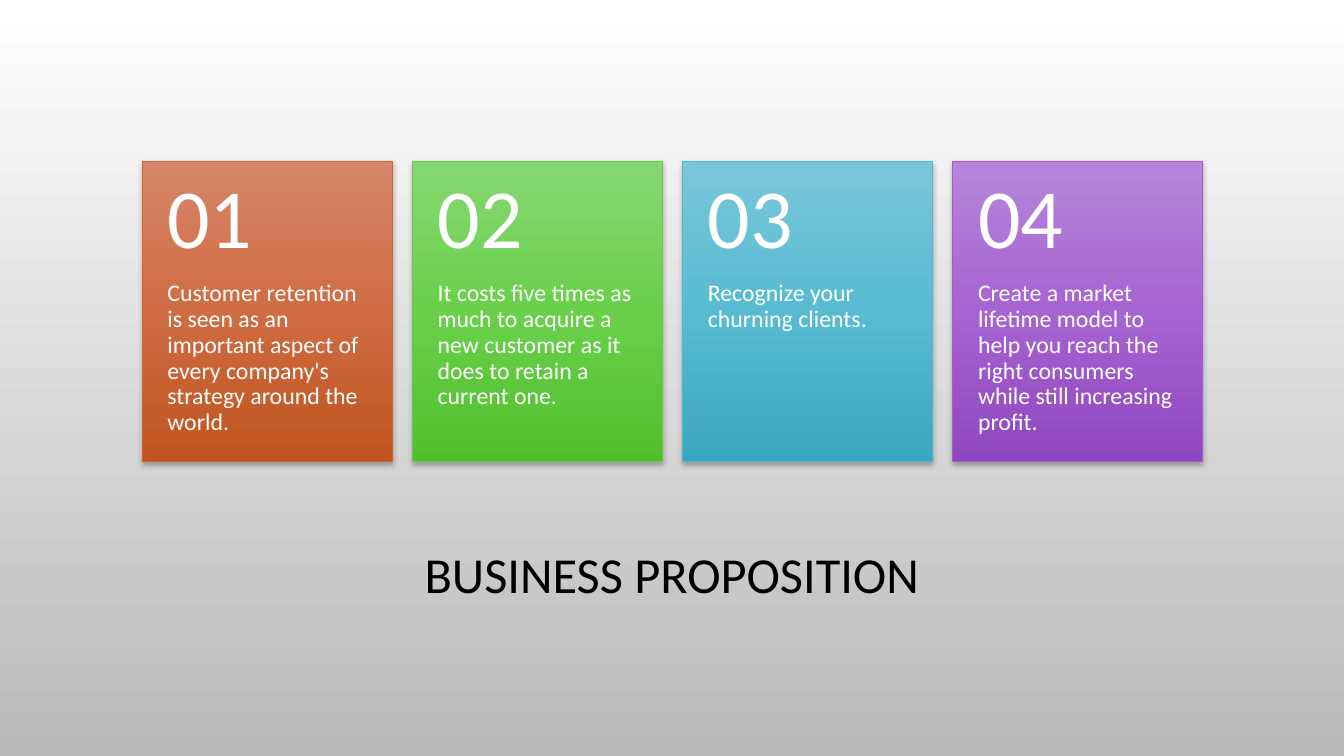
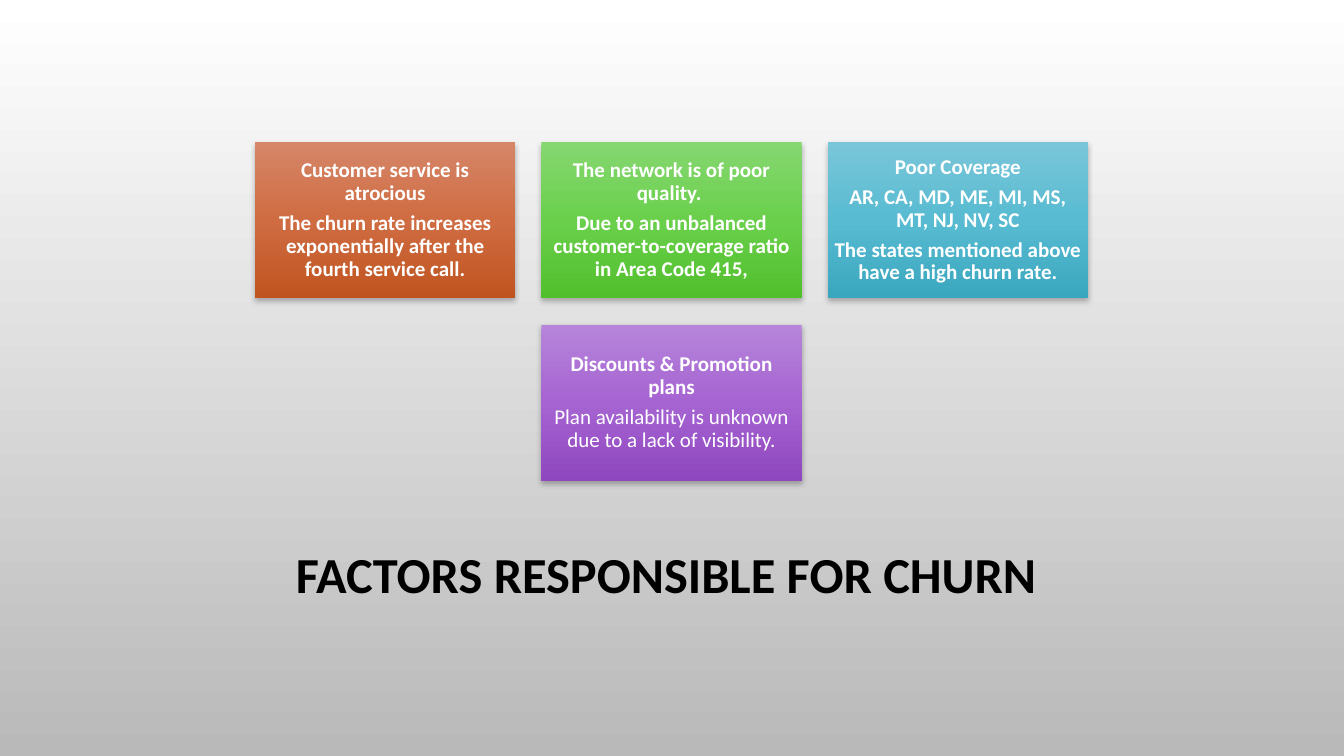
from dataclasses import dataclass
from typing import NamedTuple

from lxml import etree
from pptx import Presentation
from pptx.dml.color import RGBColor
from pptx.enum.shapes import MSO_SHAPE
from pptx.enum.text import MSO_ANCHOR, PP_ALIGN
from pptx.oxml.ns import qn
from pptx.util import Inches, Pt

RECTANGLE = MSO_SHAPE.RECTANGLE
TOP, MIDDLE = MSO_ANCHOR.TOP, MSO_ANCHOR.MIDDLE
LEFT, CENTER = PP_ALIGN.LEFT, PP_ALIGN.CENTER
BLANK_LAYOUT = 6


class Box(NamedTuple):
    """A rectangle in inches."""
    left: float
    top: float
    width: float
    height: float

    def emu(self):
        """Return the four lengths ready for python-pptx."""
        return [Inches(length) for length in self]


class Accent(NamedTuple):
    """Gradient colours of a card and its outline."""
    gradient: tuple
    outline: str


@dataclass(frozen=True)
class Theme:
    """Colours, type sizes and text rules shared by the slides."""
    font: str = "Calibri"
    ink: str = "000000"
    paper: str = "FFFFFF"
    backdrop: tuple = ("FFFFFF", "B9B9B9")
    accents: tuple = (
        Accent(("D68669", "CF6C42", "C0541F"), "CE6633"),
        Accent(("86D771", "6AD04C", "51BF2C"), "64CF41"),
        Accent(("7AC6D9", "58BBD1", "3AA7BF"), "4FB9D0"),
        Accent(("B685DA", "A664D2", "8F47BF"), "A35DD1"),
    )
    title_size: float = 36
    number_size: float = 60
    proposition_size: float = 17
    factor_size: float = 15
    line_spacing: float = 0.9
    space_after: float = 0.35


THEME = Theme()
TITLE_BOX = Box(1, 5.02, 11.33, 1.42)
PROPOSITION_BOX = Box(1.41, 1.6, 10.52, 2.98)
PROPOSITION_GAP = 0.2
FACTOR_BOX = Box(2.53, 1.41, 8.26, 3.36)
FACTOR_GAP = 0.26
FACTOR_COLUMNS = 3

PROPOSITIONS = (
    "Customer retention is seen as an important aspect of every company's strategy around the world.",
    "It costs five times as much to acquire a new customer as it does to retain a current one.",
    "Recognize your churning clients.",
    "Create a market lifetime model to help you reach the right consumers while still increasing profit.",
)
FACTORS = (
    (("Customer service is atrocious", True),
     ("The churn rate increases exponentially after the fourth service call.", True)),
    (("The network is of poor quality. ", True),
     ("Due to an unbalanced customer-to-coverage ratio in Area Code 415,", True)),
    (("Poor Coverage", True),
     ("AR, CA, MD, ME, MI, MS, MT, NJ, NV, SC", True),
     ("The states mentioned above have a high churn rate.", True)),
    (("Discounts & Promotion plans", True),
     ("Plan availability is unknown due to a lack of visibility.", False)),
)


def paint_gradient(fill, holder, colors):
    """Fill from top to bottom with evenly spaced colours."""
    fill.gradient()
    fill.gradient_angle = 270
    stops = next(holder.iter(qn("a:gsLst")))
    for stop in list(stops):
        stops.remove(stop)
    for index, color in enumerate(colors):
        position = 100000 * index // (len(colors) - 1)
        stop = etree.SubElement(stops, qn("a:gs"), pos=str(position))
        etree.SubElement(stop, qn("a:srgbClr"), val=color)


def add_soft_shadow(shape):
    """Give the shape a faint shadow below it."""
    shape.shadow.inherit = False
    effects = shape._element.spPr.find(qn("a:effectLst"))
    shadow = etree.SubElement(
        effects, qn("a:outerShdw"), blurRad=str(Pt(4)), dist=str(Pt(2)),
        dir="5400000", algn="ctr", rotWithShape="0")
    color = etree.SubElement(shadow, qn("a:srgbClr"), val=THEME.ink)
    etree.SubElement(color, qn("a:alpha"), val="28000")


def write_text(frame, lines, size, color=THEME.paper, align=LEFT, anchor=MIDDLE,
               insets=(0.1, 0.05, 0.1, 0.05)):
    """Write (text, bold) lines as paragraphs of one style."""
    frame.word_wrap = True
    frame.vertical_anchor = anchor
    (frame.margin_left, frame.margin_top,
     frame.margin_right, frame.margin_bottom) = [Inches(inset) for inset in insets]
    for index, (text, bold) in enumerate(lines):
        paragraph = frame.add_paragraph() if index else frame.paragraphs[0]
        paragraph.alignment = align
        paragraph.line_spacing = THEME.line_spacing
        paragraph.space_after = Pt(size * THEME.space_after)
        run = paragraph.add_run()
        run.text = text
        run.font.name = THEME.font
        run.font.size = Pt(size)
        run.font.bold = bold
        run.font.color.rgb = RGBColor.from_string(color)


def add_label(slide, box, text, size, bold=False, **style):
    """Add a text box with a single paragraph."""
    label = slide.shapes.add_textbox(*box.emu())
    write_text(label.text_frame, [(text, bold)], size, **style)


def add_card(slide, box, accent, outlined=False):
    """Add a shaded card and return it."""
    card = slide.shapes.add_shape(RECTANGLE, *box.emu())
    paint_gradient(card.fill, card._element.spPr, accent.gradient)
    if outlined:
        card.line.color.rgb = RGBColor.from_string(accent.outline)
        card.line.width = Pt(0.75)
    else:
        card.line.fill.background()
    add_soft_shadow(card)
    return card


def add_titled_slide(deck, title, bold=False):
    """Add a slide with the shared backdrop and title."""
    slide = deck.slides.add_slide(deck.slide_layouts[BLANK_LAYOUT])
    paint_gradient(slide.background.fill, slide._element, THEME.backdrop)
    add_label(slide, TITLE_BOX, title, THEME.title_size, bold,
              color=THEME.ink, align=CENTER)
    return slide


def add_proposition(slide, box, number, text, accent):
    """Place a numbered proposition in its box."""
    number_height = box.height * 0.4
    add_card(slide, box, accent, outlined=True)
    text_box = box._replace(top=box.top + number_height, height=box.height - number_height)
    add_label(slide, text_box, text, THEME.proposition_size,
              anchor=TOP, insets=(0.25, 0, 0.25, 0.36))
    add_label(slide, box._replace(height=number_height), f"{number:02}",
              THEME.number_size, insets=(0.25, 0.18, 0.25, 0.18))


def add_proposition_row(slide, box):
    """Spread the propositions across the box."""
    count = len(PROPOSITIONS)
    width = (box.width - PROPOSITION_GAP * (count - 1)) / count
    for index, (text, accent) in enumerate(zip(PROPOSITIONS, THEME.accents)):
        left = box.left + index * (width + PROPOSITION_GAP)
        add_proposition(slide, box._replace(left=left, width=width), index + 1, text, accent)


def add_factor_grid(slide, box):
    """Lay the factors out in centred rows within the box."""
    rows = -(-len(FACTORS) // FACTOR_COLUMNS)
    width = (box.width - FACTOR_GAP * (FACTOR_COLUMNS - 1)) / FACTOR_COLUMNS
    height = (box.height - FACTOR_GAP * (rows - 1)) / rows
    for index, (lines, accent) in enumerate(zip(FACTORS, THEME.accents)):
        row, column = divmod(index, FACTOR_COLUMNS)
        in_row = min(FACTOR_COLUMNS, len(FACTORS) - row * FACTOR_COLUMNS)
        indent = (FACTOR_COLUMNS - in_row) / 2
        left = box.left + (column + indent) * (width + FACTOR_GAP)
        top = box.top + row * (height + FACTOR_GAP)
        card = add_card(slide, Box(left, top, width, height), accent)
        write_text(card.text_frame, lines, THEME.factor_size, align=CENTER,
                   insets=(0.06, 0.06, 0.06, 0.06))


def main():
    """Build and save the deck."""
    deck = Presentation()
    deck.slide_width, deck.slide_height = Inches(13.33), Inches(7.5)
    add_proposition_row(add_titled_slide(deck, "BUSINESS PROPOSITION"), PROPOSITION_BOX)
    add_factor_grid(add_titled_slide(deck, "FACTORS RESPONSIBLE FOR CHURN ", bold=True),
                    FACTOR_BOX)
    deck.save("out.pptx")


if __name__ == "__main__":
    main()
